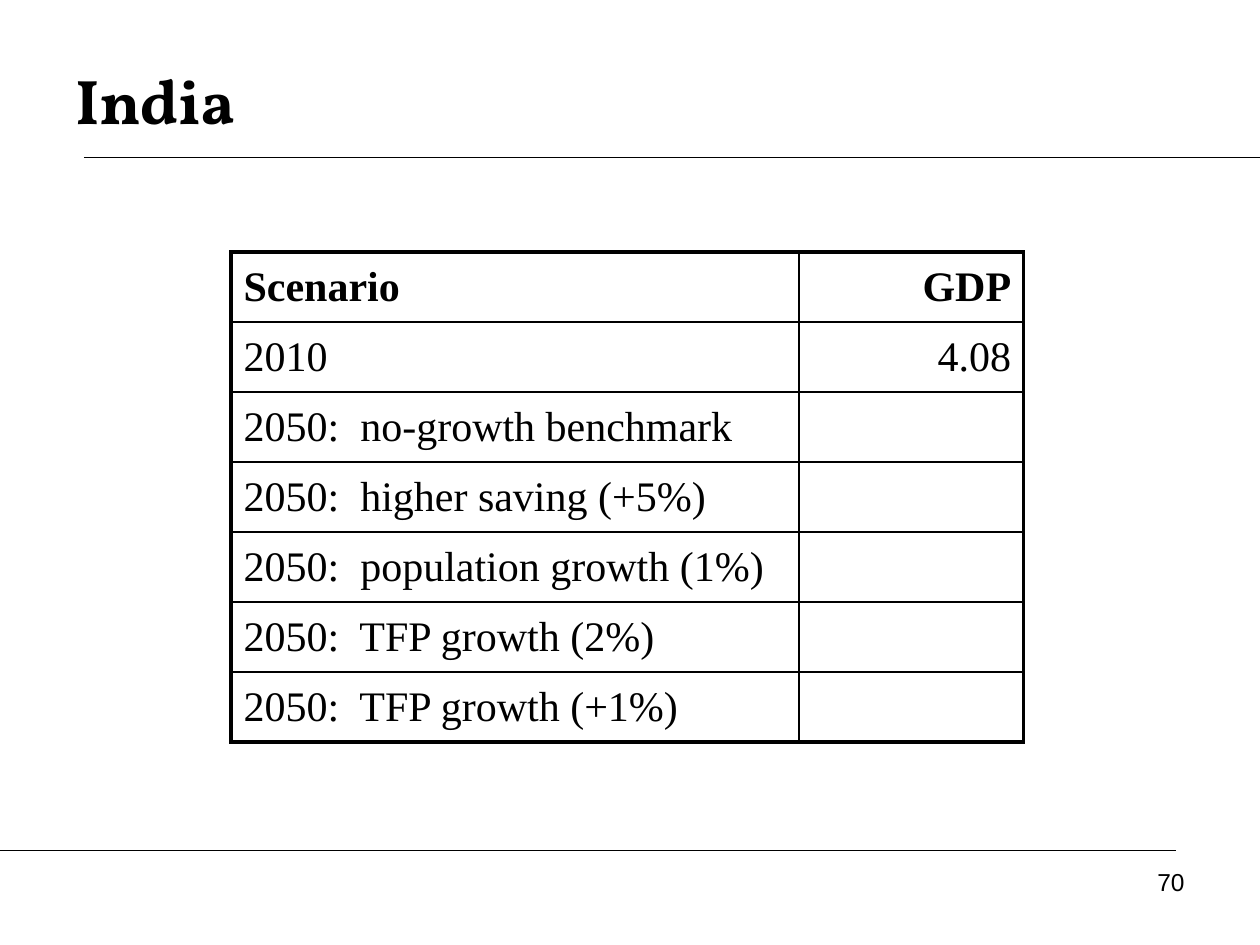
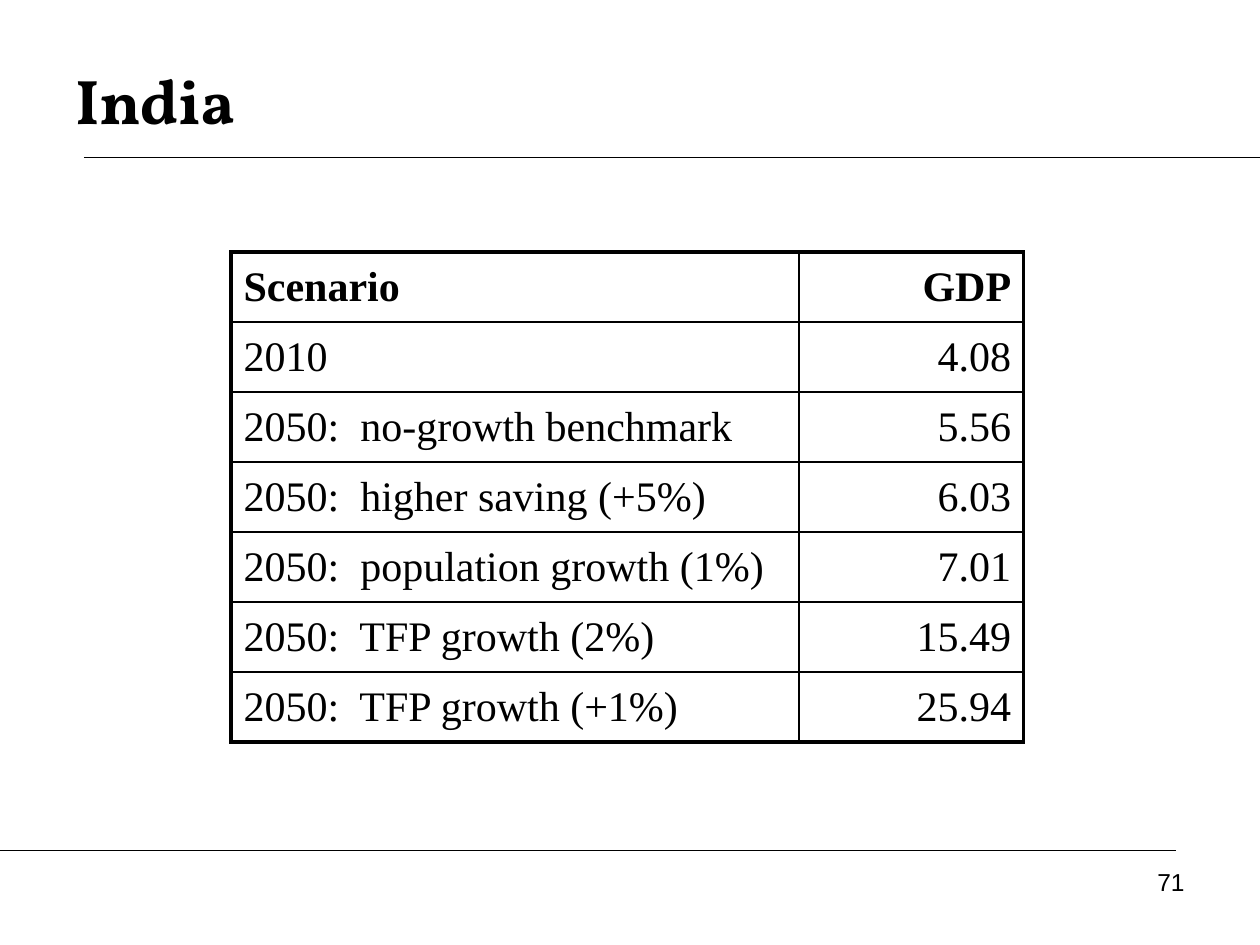
from lxml import etree
from pptx import Presentation
from pptx.dml.color import RGBColor
from pptx.enum.shapes import MSO_CONNECTOR
from pptx.enum.text import MSO_ANCHOR, PP_ALIGN
from pptx.oxml.ns import qn
from pptx.util import Pt

STRAIGHT = MSO_CONNECTOR.STRAIGHT
TOP, MIDDLE = MSO_ANCHOR.TOP, MSO_ANCHOR.MIDDLE
LEFT, RIGHT = PP_ALIGN.LEFT, PP_ALIGN.RIGHT

BLACK = RGBColor(0x00, 0x00, 0x00)
TITLE_FONT, TABLE_FONT, NUMBER_FONT = "Vollkorn", "Times New Roman", "Arial"

# Boxes are left, top, width, height in points
PAGE_WIDTH, PAGE_HEIGHT = 720, 540
MARGIN = 48
TITLE_BOX = (36, 24, 648, 66)
NUMBER_BOX = (516, 492, 168, 37.5)
TABLE_BOX = (132, 144, 453, 280)
GDP_WIDTH = 128.5
RULE, GRID, FRAME = 0.75, 1, 2.25

SCENARIOS = [
    "2010",
    "2050:  no-growth benchmark",
    "2050:  higher saving (+5%)",
    "2050:  population growth (1%)",
    "2050:  TFP growth (2%)",
    "2050:  TFP growth (+1%)",
]
GDP = ["4.08", "5.56", "6.03", "7.01", "15.49", "25.94"]
FIRST_PAGE = 70
KNOWN_VALUES = [1, len(GDP)]  # GDP figures revealed on each page


def write(text_frame, text, font, size, bold=False, align=LEFT):
    para = text_frame.paragraphs[0]
    para.text = text
    para.alignment = align
    for span in para.runs:
        span.font.name = font
        span.font.size = Pt(size)
        span.font.bold = bold
        span.font.color.rgb = BLACK


def add_text(page, box, text, font, size, anchor=TOP, **style):
    text_frame = page.shapes.add_textbox(*map(Pt, box)).text_frame
    text_frame.word_wrap = True
    text_frame.vertical_anchor = anchor
    write(text_frame, text, font, size, **style)


def add_rule(page, left, right, top):
    rule = page.shapes.add_connector(STRAIGHT, Pt(left), Pt(top), Pt(right), Pt(top))
    rule.line.color.rgb = BLACK
    rule.line.width = Pt(RULE)
    etree.SubElement(rule._element.spPr, qn("a:effectLst"))


def add_header(page, title, box):
    add_text(page, box, title, TITLE_FONT, 36, anchor=MIDDLE, bold=True)
    add_rule(page, MARGIN, PAGE_WIDTH, box[1] + box[3])


def add_footer(page, number, box):
    add_rule(page, 0, PAGE_WIDTH - MARGIN, box[1] - 6)
    add_text(page, box, str(number), NUMBER_FONT, 14, align=RIGHT)


def set_borders(cell, widths):
    properties = cell._tc.get_or_add_tcPr()
    for side, width in widths.items():
        border = etree.SubElement(properties, qn(f"a:ln{side}"), w=str(Pt(width)))
        fill = etree.SubElement(border, qn("a:solidFill"))
        etree.SubElement(fill, qn("a:srgbClr"), val=str(BLACK))


def add_scenario_table(page, rows, box):
    left, top, width, height = box
    last_row, last_column = len(rows) - 1, len(rows[0]) - 1
    table = page.shapes.add_table(len(rows), len(rows[0]), *map(Pt, box)).table
    table.first_row = table.horz_banding = False
    table.columns[0].width = Pt(width - GDP_WIDTH)
    table.columns[1].width = Pt(GDP_WIDTH)

    for r, values in enumerate(rows):
        table.rows[r].height = Pt(height / len(rows))
        for c, value in enumerate(values):
            cell = table.cell(r, c)
            # Heavy frame outside, thin grid inside
            set_borders(cell, {
                "L": FRAME if c == 0 else GRID,
                "R": FRAME if c == last_column else GRID,
                "T": FRAME if r == 0 else GRID,
                "B": FRAME if r == last_row else GRID,
            })
            cell.fill.background()
            cell.vertical_anchor = MIDDLE
            write(cell.text_frame, value, TABLE_FONT, 24,
                  bold=r == 0, align=RIGHT if c == last_column else LEFT)


def add_scenario_page(deck, number, known):
    page = deck.slides.add_slide(deck.slide_layouts[6])
    add_header(page, "India", TITLE_BOX)
    add_footer(page, number, NUMBER_BOX)
    shown = GDP[:known] + [""] * (len(GDP) - known)
    add_scenario_table(page, [("Scenario", "GDP"), *zip(SCENARIOS, shown)], TABLE_BOX)


def main():
    deck = Presentation()
    deck.slide_width, deck.slide_height = Pt(PAGE_WIDTH), Pt(PAGE_HEIGHT)
    for number, known in enumerate(KNOWN_VALUES, FIRST_PAGE):
        add_scenario_page(deck, number, known)
    deck.save("out.pptx")


if __name__ == "__main__":
    main()
